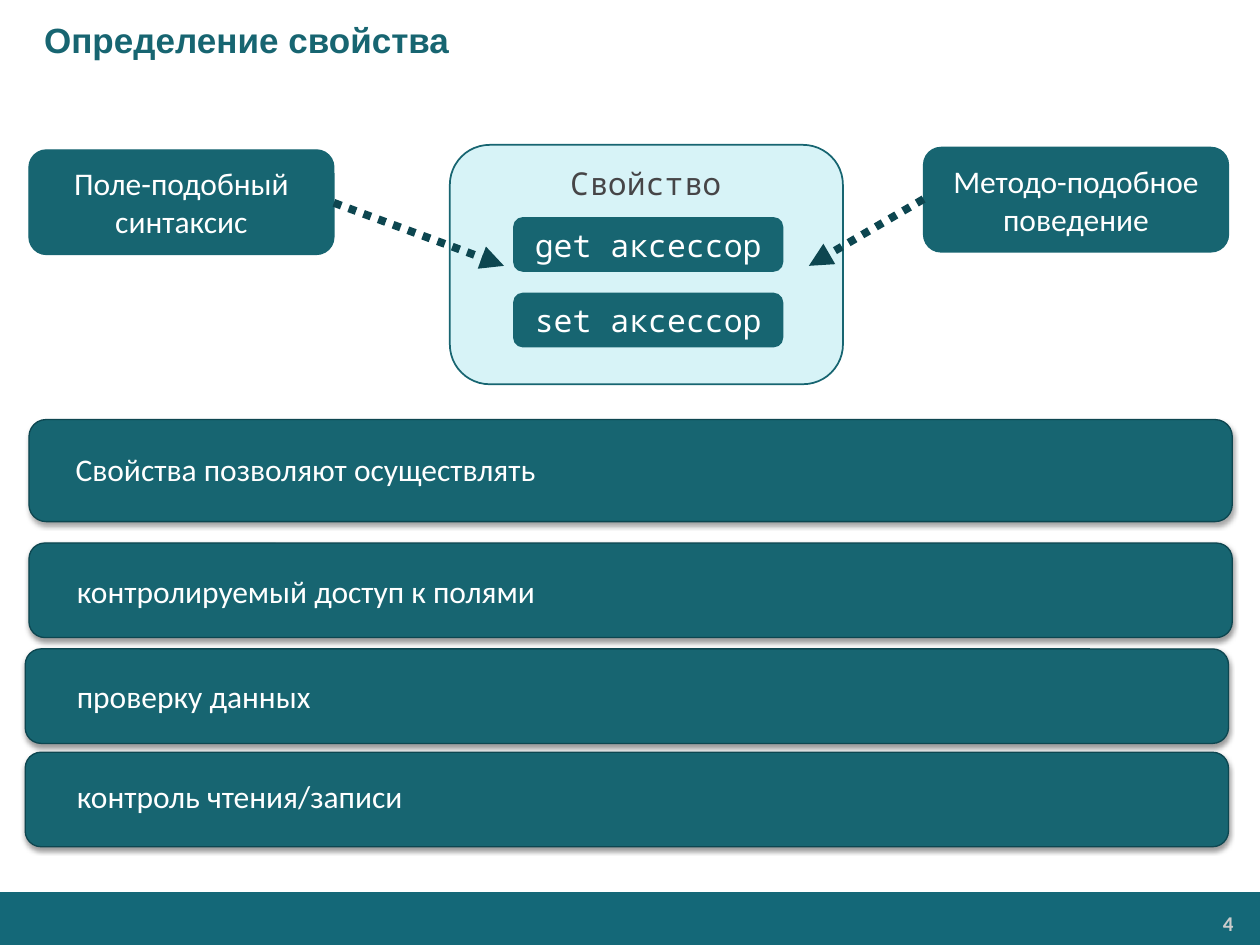
from lxml.etree import SubElement
from pptx import Presentation
from pptx.dml.color import RGBColor
from pptx.enum.dml import MSO_LINE
from pptx.enum.shapes import MSO_CONNECTOR, MSO_SHAPE
from pptx.enum.text import MSO_ANCHOR, PP_ALIGN
from pptx.oxml.ns import qn
from pptx.util import Inches, Pt

THEME = {
    "teal": "176571", "dark": "0D4650", "pale": "D7F3F7", "footer": "146878",
    "white": "FFFFFF", "grey": "464547", "number": "CCCCCC", "shadow": "000000",
    "heading": "Arial", "body": "Calibri", "code": "Noto Sans Mono",
    "title_size": 20, "text_size": 18, "number_size": 12,
}

TITLE = "Определение свойства"
PAGE_NUMBER = "4"
PROPERTY_LABEL = "Свойство"
ACCESSORS = ["get аксессор", "set аксессор"]
# text, left, top
TRAITS = [
    ("Поле-подобный синтаксис", 0.23, 1.19),
    ("Методо-подобное поведение", 7.33, 1.17),
]
# text, bar left, bar top, bar height, text left, text top, alignment, shadow opacity, shadow distance
BARS = [
    ("Свойства позволяют осуществлять", 0.23, 3.33, 0.81, 0.6, 3.57, PP_ALIGN.LEFT, 35, 1.8),
    ("контролируемый доступ к полями", 0.23, 4.31, 0.75, 0.61, 4.54, PP_ALIGN.JUSTIFY, 38, 1.6),
    ("проверку данных", 0.2, 5.15, 0.75, 0.61, 5.37, PP_ALIGN.JUSTIFY, 38, 1.6),
    ("контроль чтения/записи", 0.2, 5.97, 0.75, 0.61, 6.17, PP_ALIGN.JUSTIFY, 38, 1.6),
]
# start, end
ARROWS = [((2.65, 1.61), (4, 2.11)), ((7.33, 1.58), (6.42, 2.11))]


def color(name):
    return RGBColor.from_string(THEME[name])


def write(shape, text, font="body", size="text_size", ink="white",
          align=PP_ALIGN.CENTER, anchor=MSO_ANCHOR.MIDDLE, inset=(0, 0), bold=False):
    """Fill a shape with one formatted run; inset is (horizontal, vertical)."""
    frame = shape.text_frame
    frame.word_wrap = True
    frame.vertical_anchor = anchor
    frame.margin_left = frame.margin_right = Inches(inset[0])
    frame.margin_top = frame.margin_bottom = Inches(inset[1])
    paragraph = frame.paragraphs[0]
    paragraph.alignment = align
    run = paragraph.add_run()
    run.text = text
    run.font.name = THEME[font]
    run.font.size = Pt(THEME[size])
    run.font.bold = bold
    run.font.color.rgb = color(ink)
    return paragraph


def add_box(slide, left, top, width, height, fill="teal", line="teal", line_width=1,
            kind=MSO_SHAPE.ROUNDED_RECTANGLE):
    shape = slide.shapes.add_shape(kind, Inches(left), Inches(top), Inches(width), Inches(height))
    shape.shadow.inherit = False
    shape.fill.solid()
    shape.fill.fore_color.rgb = color(fill)
    if line:
        shape.line.color.rgb = color(line)
        shape.line.width = Pt(line_width)
    else:
        shape.line.fill.background()
    return shape


def add_text(slide, left, top, width, height, text, **style):
    box = slide.shapes.add_textbox(Inches(left), Inches(top), Inches(width), Inches(height))
    write(box, text, **style)


def add_shadow(shape, opacity, distance):
    """Cast a soft shadow straight down."""
    effects = shape._element.spPr.find(qn("a:effectLst"))
    shadow = SubElement(effects, qn("a:outerShdw"), blurRad=str(Pt(3)), dist=str(Pt(distance)),
                        dir="5400000", rotWithShape="0")
    tint = SubElement(shadow, qn("a:srgbClr"), val=THEME["shadow"])
    SubElement(tint, qn("a:alpha"), val=str(opacity * 1000))


def add_arrow(slide, start, end):
    points = [Inches(value) for value in (*start, *end)]
    arrow = slide.shapes.add_connector(MSO_CONNECTOR.STRAIGHT, *points)
    arrow.line.color.rgb = color("dark")
    arrow.line.width = Pt(4.5)
    arrow.line.dash_style = MSO_LINE.ROUND_DOT
    outline = arrow.line._get_or_add_ln()
    outline.find(qn("a:prstDash")).set("val", "sysDot")
    SubElement(outline, qn("a:tailEnd"), type="triangle")
    SubElement(arrow._element.spPr, qn("a:effectLst"))


def add_title(slide):
    title = slide.shapes.title
    title.left, title.top = Inches(0), Inches(0)
    title.width, title.height = Inches(10), Inches(0.63)
    paragraph = write(title, TITLE, "heading", "title_size", "teal", PP_ALIGN.LEFT,
                      inset=(0.1, 0.05), bold=True)
    paragraph._p.get_or_add_pPr().set("marL", str(Inches(0.25)))


def add_property(slide):
    add_box(slide, 3.57, 1.15, 3.12, 1.9, fill="pale")
    add_text(slide, 4, 1.25, 2.25, 0.71, PROPERTY_LABEL, font="code", ink="grey",
             anchor=MSO_ANCHOR.TOP, inset=(0.05, 0.05))
    for index, text in enumerate(ACCESSORS):
        write(add_box(slide, 4.08, 1.73 + 0.6 * index, 2.13, 0.42), text, font="code")


def main():
    presentation = Presentation()
    presentation.slide_width, presentation.slide_height = Inches(10), Inches(7.5)
    slide = presentation.slides.add_slide(presentation.slide_layouts[5])

    add_box(slide, 0, 7.08, 10, 0.42, fill="footer", line=None, kind=MSO_SHAPE.RECTANGLE)
    add_text(slide, 8.23, 7.19, 1.63, 0.28, PAGE_NUMBER, size="number_size", ink="number",
             align=PP_ALIGN.RIGHT, anchor=MSO_ANCHOR.TOP, inset=(0.07, 0.04), bold=True)
    add_title(slide)
    add_property(slide)
    for text, left, top in TRAITS:
        write(add_box(slide, left, top, 2.42, 0.83, line_width=0.75), text)
    for text, left, top, height, text_left, text_top, align, opacity, distance in BARS:
        bar = add_box(slide, left, top, 9.55, height, line="dark", line_width=0.75)
        add_shadow(bar, opacity, distance)
        add_text(slide, text_left, text_top, 5.43, 0.3, text, align=align)
    for start, end in ARROWS:
        add_arrow(slide, start, end)
    presentation.save("out.pptx")


if __name__ == "__main__":
    main()
